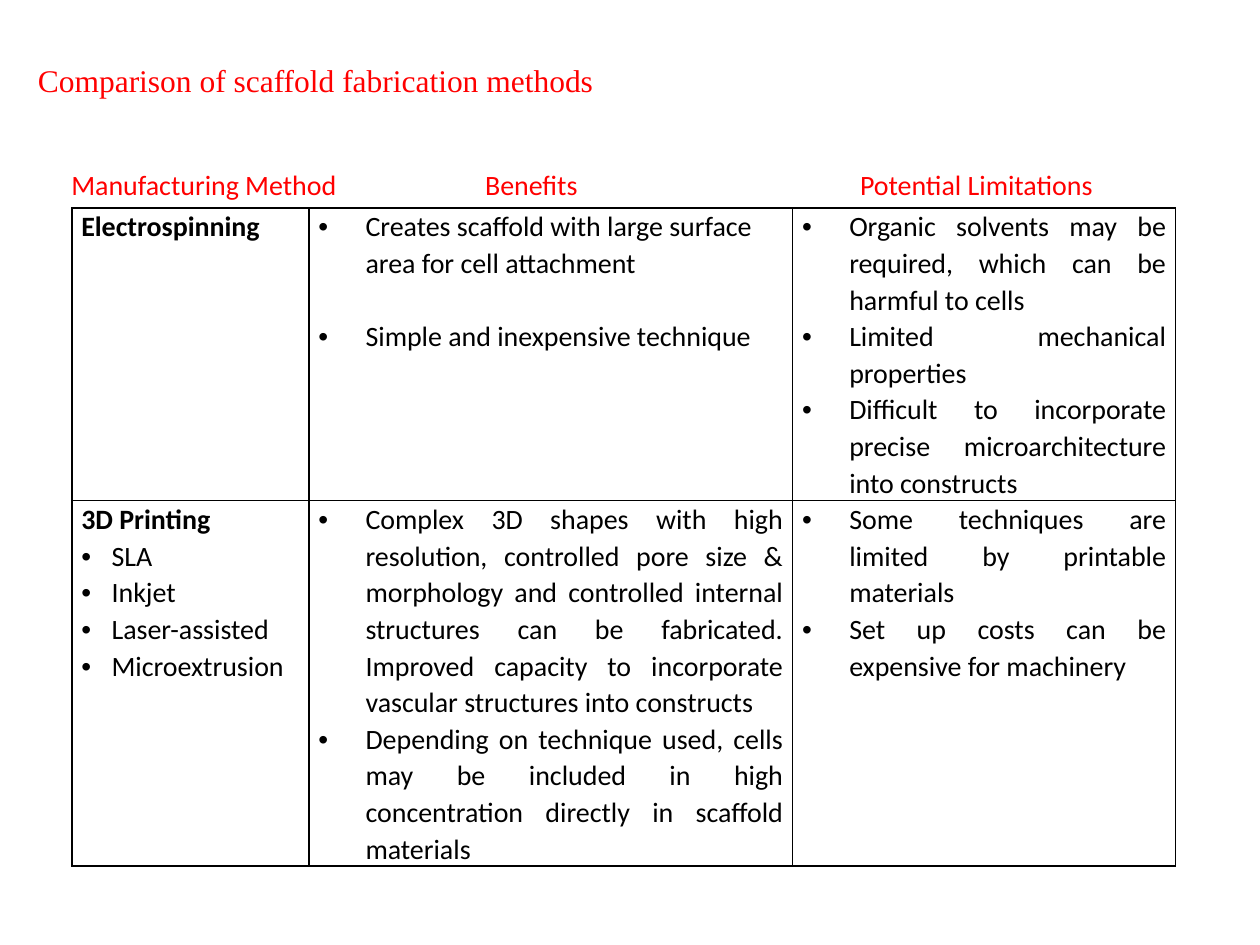
from dataclasses import dataclass

from lxml import etree
from pptx import Presentation
from pptx.dml.color import RGBColor
from pptx.enum.text import MSO_ANCHOR, MSO_AUTO_SIZE, PP_ALIGN
from pptx.oxml.ns import qn
from pptx.util import Cm, Pt

LEFT, JUSTIFY = PP_ALIGN.LEFT, PP_ALIGN.JUSTIFY
TOP = MSO_ANCHOR.TOP
GROW = MSO_AUTO_SIZE.SHAPE_TO_FIT_TEXT
TITLE_ONLY = 5


@dataclass(frozen=True)
class Theme:
    """Colours, fonts and type sizes of the slide."""
    accent: RGBColor = RGBColor(0xFF, 0, 0)
    ink: RGBColor = RGBColor(0, 0, 0)
    title_font: str = "Times New Roman"
    body_font: str = "Calibri"
    title_size: Pt = Pt(18)
    body_size: Pt = Pt(16)
    rule: Pt = Pt(1)
    spacing: float = 1.07
    list_indent: Cm = Cm(0.95)
    method_indent: Cm = Cm(0.61)
    point_gap: Pt = Pt(21)


THEME = Theme()

HEADINGS = [
    ("Manufacturing Method", 1.19, 6.02, True),
    ("Benefits", 9.53, 2.41, False),
    ("Potential Limitations", 17.09, 5.26, False),
]

METHODS = [
    {
        "name": "Electrospinning",
        "variants": [],
        "benefits": [
            "Creates scaffold with large surface area for cell attachment",
            "Simple and inexpensive technique",
        ],
        "benefits_align": LEFT,
        "benefits_gap": THEME.point_gap,
        "limitations": [
            "Organic solvents may be required, which can be harmful to cells",
            "Limited mechanical properties",
            "Difficult to incorporate precise microarchitecture into constructs",
        ],
    },
    {
        "name": "3D Printing",
        "variants": ["SLA", "Inkjet", "Laser-assisted", "Microextrusion"],
        "benefits": [
            "Complex 3D shapes with high resolution, controlled pore size & "
            "morphology and controlled internal structures can be fabricated. "
            "Improved capacity to incorporate vascular structures into constructs",
            "Depending on technique used, cells may be included in high "
            "concentration directly in scaffold materials",
        ],
        "benefits_align": JUSTIFY,
        "benefits_gap": Pt(0),
        "limitations": [
            "Some techniques are limited by printable materials",
            "Set up costs can be expensive for machinery",
        ],
    },
]


def set_font(paragraph, name, size, color, bold=False):
    """Format all the text of a paragraph."""
    font = paragraph.font
    font.name, font.size, font.bold = name, size, bold
    font.color.rgb = color


def add_bullet(paragraph, indent):
    """Give a paragraph a round bullet with a hanging indent."""
    properties = paragraph._p.get_or_add_pPr()
    properties.set("marL", str(indent))
    properties.set("indent", str(-indent))
    etree.SubElement(properties, qn("a:buFont"), typeface="Arial")
    etree.SubElement(properties, qn("a:buChar"), char="•")


def write_line(paragraph, text, align=LEFT, indent=None, gap=Pt(0), bold=False):
    """Write one table paragraph, bulleted when an indent is given."""
    paragraph.text = text
    paragraph.alignment = align
    paragraph.line_spacing = THEME.spacing
    paragraph.space_before = gap
    if indent:
        add_bullet(paragraph, indent)
    set_font(paragraph, THEME.body_font, THEME.body_size, THEME.ink, bold)


def write_list(cell, points, align, gap=Pt(0)):
    """Fill a cell with bulleted points."""
    frame = cell.text_frame
    for number, point in enumerate(points):
        line = frame.add_paragraph() if number else frame.paragraphs[0]
        write_line(line, point, align, THEME.list_indent, gap if number else Pt(0))


def write_method(cell, name, variants):
    """Fill a cell with a method name and its variants."""
    frame = cell.text_frame
    write_line(frame.paragraphs[0], name, bold=True)
    for variant in variants:
        write_line(frame.add_paragraph(), variant, indent=THEME.method_indent)


def style_cell(cell):
    """Set the margins, borders and empty fill of a cell."""
    cell.margin_left = cell.margin_right = Cm(0.19)
    cell.margin_top = cell.margin_bottom = 0
    properties = cell._tc.get_or_add_tcPr()
    for side in ("lnL", "lnR", "lnT", "lnB"):
        border = etree.SubElement(properties, qn(f"a:{side}"), w=str(THEME.rule))
        fill = etree.SubElement(border, qn("a:solidFill"))
        etree.SubElement(fill, qn("a:srgbClr"), val=str(THEME.ink))
    cell.fill.background()


def place_title(slide, left, top, width, height):
    """Place the slide title in its placeholder."""
    title = slide.shapes.title
    title.left, title.top, title.width, title.height = left, top, width, height
    frame = title.text_frame
    frame.text = "Comparison of scaffold fabrication methods"
    frame.word_wrap = False
    frame.auto_size = GROW
    frame.vertical_anchor = TOP
    line = frame.paragraphs[0]
    line.alignment = JUSTIFY
    line.line_spacing = THEME.spacing
    set_font(line, THEME.title_font, THEME.title_size, THEME.accent)


def place_headings(slide, top, height):
    """Place the column headings above the table."""
    for text, left, width, wrap in HEADINGS:
        box = slide.shapes.add_textbox(Cm(left), top, Cm(width), height)
        frame = box.text_frame
        frame.text = text
        frame.word_wrap = wrap
        frame.auto_size = GROW
        set_font(frame.paragraphs[0], THEME.body_font, THEME.body_size, THEME.accent)


def place_table(slide, left, top, column_widths, row_heights):
    """Place the table that compares the methods."""
    table = slide.shapes.add_table(
        len(row_heights), len(column_widths), left, top,
        sum(column_widths), sum(row_heights)).table
    table.first_row = table.horz_banding = False
    for column, width in zip(table.columns, column_widths):
        column.width = width
    for row, height, method in zip(table.rows, row_heights, METHODS):
        row.height = height
        for cell in row.cells:
            style_cell(cell)
        name, benefits, limitations = row.cells
        write_method(name, method["name"], method["variants"])
        write_list(benefits, method["benefits"], method["benefits_align"],
                   method["benefits_gap"])
        write_list(limitations, method["limitations"], JUSTIFY)


def main():
    """Build the slide and save it."""
    deck = Presentation()
    deck.slide_width, deck.slide_height = Cm(25.4), Cm(19.05)
    slide = deck.slides.add_slide(deck.slide_layouts[TITLE_ONLY])
    place_table(slide, Cm(1.45), Cm(4.19),
                [Cm(4.78), Cm(9.75), Cm(7.72)], [Cm(5.9), Cm(7.37)])
    place_title(slide, Cm(0.51), Cm(1.04), Cm(11.84), Cm(1.04))
    place_headings(slide, Cm(3.25), Cm(0.94))
    deck.save("out.pptx")


if __name__ == "__main__":
    main()
